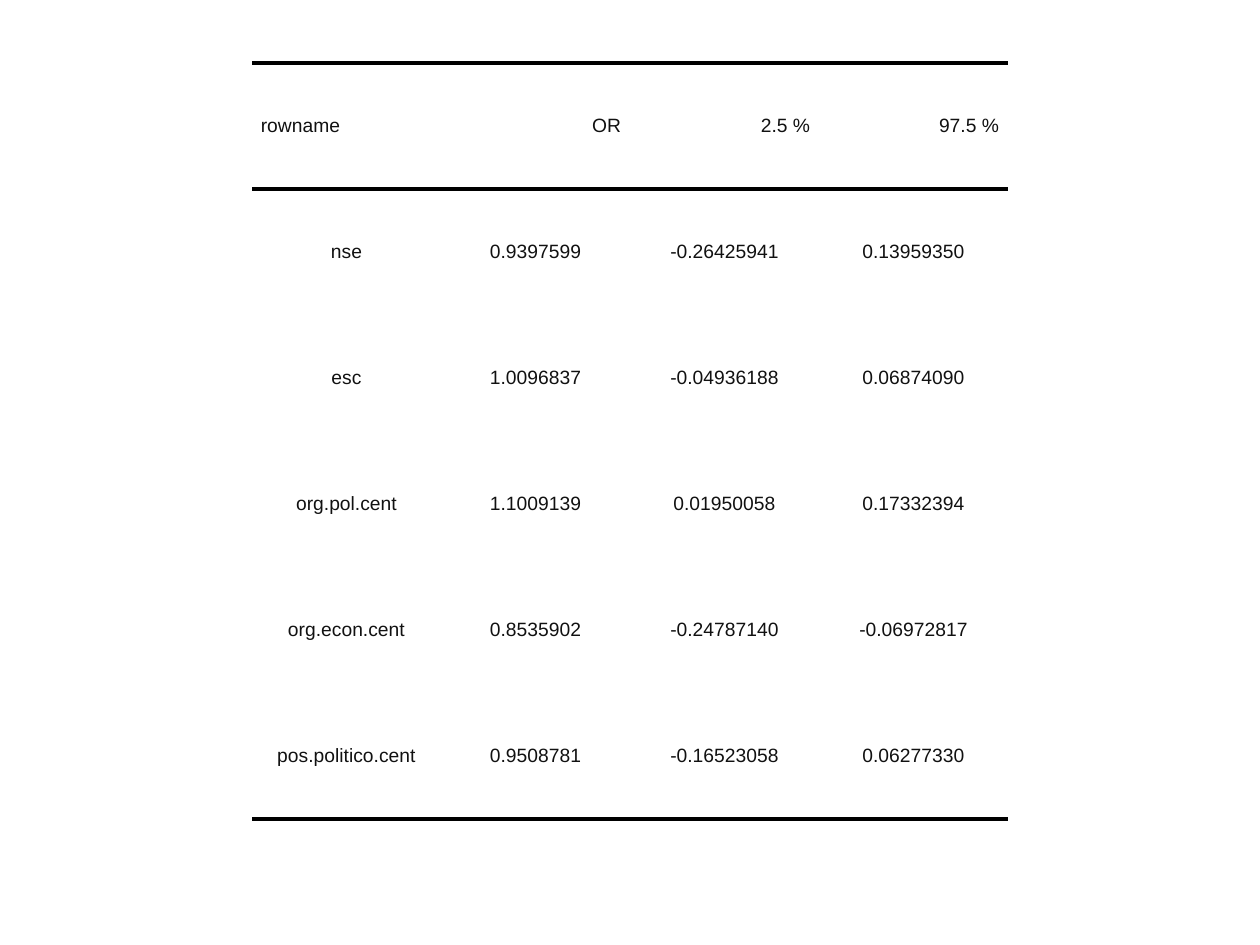
from lxml.etree import fromstring
from pptx import Presentation
from pptx.dml.color import RGBColor
from pptx.enum.text import MSO_ANCHOR, PP_ALIGN
from pptx.oxml.ns import nsdecls, qn
from pptx.util import Inches, Pt

ROWS = [
    ("rowname", "OR", "2.5 %", "97.5 %"),
    ("nse", "0.9397599", "-0.26425941", "0.13959350"),
    ("esc", "1.0096837", "-0.04936188", "0.06874090"),
    ("org.pol.cent", "1.1009139", "0.01950058", "0.17332394"),
    ("org.econ.cent", "0.8535902", "-0.24787140", "-0.06972817"),
    ("pos.politico.cent", "0.9508781", "-0.16523058", "0.06277330"),
]
RULES = {0: ("lnB", "lnT"), len(ROWS) - 1: ("lnB",)}
NO_STYLE = "{2D5ABB26-0587-4C30-8999-92F81FD0307C}"


def color(value):
    return RGBColor.from_string(value)


def add_rule(cell, side):
    ln = fromstring(
        f'<a:{side} {nsdecls("a")} w="{Pt(2)}"><a:solidFill>'
        f'<a:srgbClr val="000000"/></a:solidFill></a:{side}>'
    )
    cell._tc.get_or_add_tcPr().insert(0, ln)


prs = Presentation()
prs.slide_width, prs.slide_height = Inches(10), Inches(7.5)
s = prs.slides.add_slide(prs.slide_layouts[6])

table = s.shapes.add_table(
    len(ROWS), 4, Inches(2), Inches(0.5), Inches(6), Inches(6)
).table
table.first_row = table.horz_banding = False
table._tbl.tblPr.find(qn("a:tableStyleId")).text = NO_STYLE

for i, row in enumerate(ROWS):
    for j, text in enumerate(row):
        cell = table.cell(i, j)
        cell.text = text
        cell.fill.background()
        cell.vertical_anchor = MSO_ANCHOR.MIDDLE
        cell.margin_left = cell.margin_right = 0
        cell.margin_top = cell.margin_bottom = 0
        p = cell.text_frame.paragraphs[0]
        if i > 0:
            p.alignment = PP_ALIGN.CENTER
        else:
            p.alignment = PP_ALIGN.RIGHT if j else PP_ALIGN.LEFT
        p.space_before = p.space_after = Pt(2)
        pPr = p._p.get_or_add_pPr()
        for margin in ("marL", "marR"):
            pPr.set(margin, str(Inches(0.07)))
        p.font.name = "Arial"
        p.font.size = Pt(11)
        p.font.color.rgb = color("111111")
        for side in RULES.get(i, ()):
            add_rule(cell, side)

prs.save("out.pptx")
